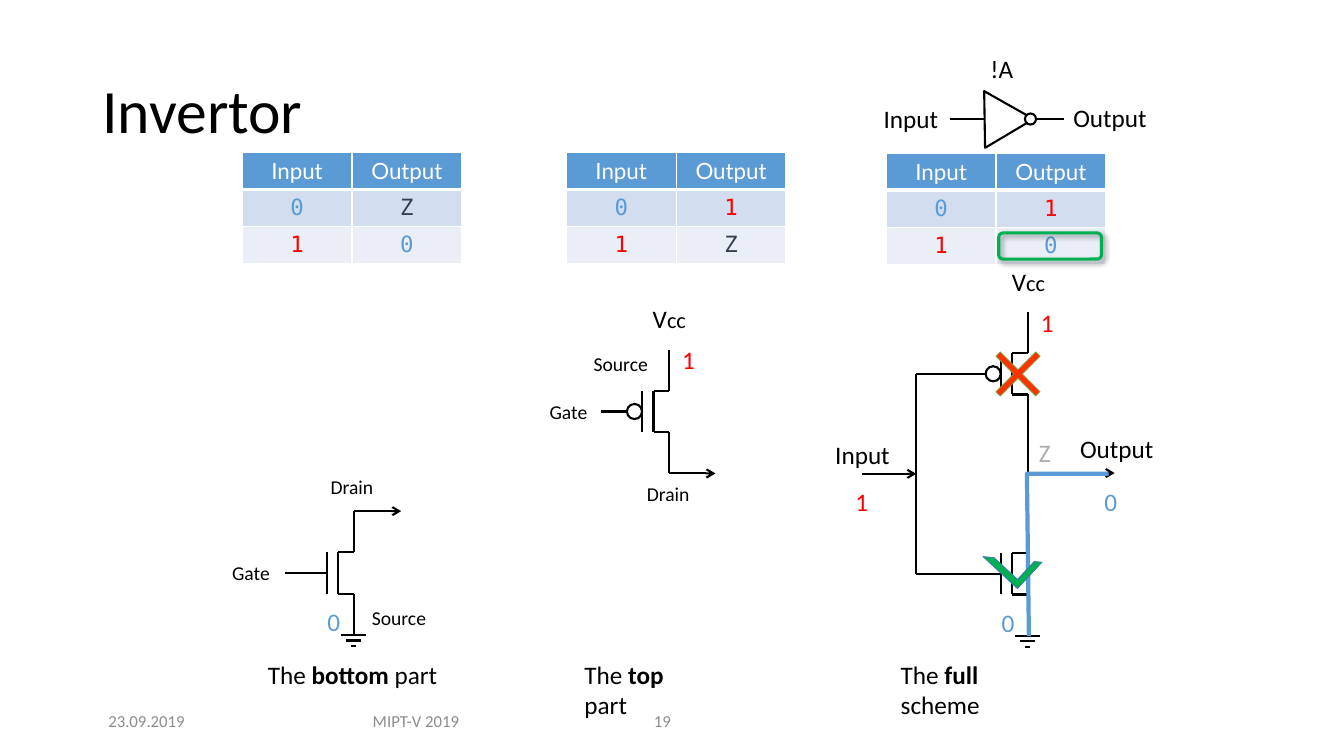
import pptx
import pptx.util
import pptx.dml.color
import pptx.enum.shapes
import pptx.enum.text
import pptx.oxml
import pptx.oxml.ns
from lxml import etree

Cm = pptx.util.Cm
Pt = pptx.util.Pt
SHAPE = pptx.enum.shapes.MSO_SHAPE
ALIGN = pptx.enum.text.PP_ALIGN
ANCHOR = pptx.enum.text.MSO_ANCHOR
qn = pptx.oxml.ns.qn

COLORS = {"black": "000000", "white": "FFFFFF", "blue": "5B9BD5", "red": "FF0000",
          "navy": "333F50", "gray": "8C8C8C", "silver": "AFABAB", "band1": "D2DEEF",
          "band2": "EAEFF7", "cross": "FF3300", "crossline": "70AD47",
          "green": "00B050", "tickline": "4472C4"}
LEVELS = {"0": "blue", "1": "red", "Z": "navy"}
LABEL_WIDTHS = {"Gate": 1.5, "Drain": 1.6, "Source": 1.96, "Input": 1.9, "Output": 2.41,
                "Vcc": 1.37, "0": 0.84, "1": 0.86, "Z": 0.81, "!A": 1.09}


def rgb(name):
    """Return the named colour."""
    return pptx.dml.color.RGBColor.from_string(COLORS[name])


def add_run(p, text, size, color="black", font="Calibri", bold=False):
    """Append a formatted run to a paragraph."""
    r = p.add_run()
    r.text = text
    r.font.size = Pt(size)
    r.font.name = font
    r.font.bold = bold
    r.font.color.rgb = rgb(color)


def add_text(shapes, x, y, w, h, runs, color="black", wrap=True, anchor=ANCHOR.TOP, align=ALIGN.LEFT):
    """Add a text box of (text, size, bold) runs."""
    sp = shapes.add_textbox(Cm(x), Cm(y), Cm(w), Cm(h))
    tf = sp.text_frame
    tf.word_wrap = wrap
    tf.vertical_anchor = anchor
    if not wrap:
        tf.auto_size = pptx.enum.text.MSO_AUTO_SIZE.SHAPE_TO_FIT_TEXT
    p = tf.paragraphs[0]
    p.alignment = align
    for text, size, bold in runs:
        add_run(p, text, size, color, bold=bold)
    return sp


def add_label(shapes, x, y, text, size=18, color="black"):
    """Add a one-line circuit label."""
    runs = [("V", 18, False), ("cc", 16, False)] if text == "Vcc" else [(text, size, False)]
    h = 1.02 if size == 18 else 0.86
    add_text(shapes, x, y, LABEL_WIDTHS[text], h, runs, color, wrap=False)


def add_wire(shapes, x1, y1, x2, y2, arrow=False):
    """Add a black wire, with an arrowhead at its end if asked."""
    c = shapes.add_connector(pptx.enum.shapes.MSO_CONNECTOR.STRAIGHT, Cm(x1), Cm(y1), Cm(x2), Cm(y2))
    c.line.color.rgb = rgb("black")
    c.line.width = Pt(1.5)
    if arrow:
        etree.SubElement(c.line._get_or_add_ln(), qn("a:tailEnd"), type="arrow")
    etree.SubElement(c._element.spPr, qn("a:effectLst"))


def add_mark(shapes, kind, x, y, w, h, fill="white", line="black", width=1.5, rotation=0, adj=()):
    """Add a preset shape without shadow."""
    sp = shapes.add_shape(kind, Cm(x), Cm(y), Cm(w), Cm(h))
    sp.shadow.inherit = False
    if fill:
        sp.fill.solid()
        sp.fill.fore_color.rgb = rgb(fill)
    else:
        sp.fill.background()
    sp.line.color.rgb = rgb(line)
    sp.line.width = Pt(width)
    sp.rotation = rotation
    for i, value in enumerate(adj):
        sp.adjustments[i] = value
    return sp


def add_transistor(shapes, x, y, inverted=False):
    """Draw a 1.72 by 3.12 transistor with its gate lead on the left."""
    bar, channel, lead = x + 1.05, x + 1.33, x + 1.72
    upper, lower = y + 1.04, y + 2.08
    for ends in ((channel, upper, channel, lower), (channel, upper, lead, upper),
                 (channel, lower, lead, lower), (lead, y, lead, upper),
                 (lead, lower, lead, y + 3.12), (bar, upper, bar, lower),
                 (bar, y + 1.56, x, y + 1.56)):
        add_wire(shapes, *ends)
    if inverted:
        add_mark(shapes, SHAPE.OVAL, x + 0.66, y + 1.37, 0.38, 0.38)


def add_ground(shapes, x, y):
    """Draw a ground sign centred on x."""
    for i, half in enumerate((0.31, 0.19, 0.06)):
        add_wire(shapes, x - half, y + 0.14 * i, x + half, y + 0.14 * i)


def truth_table(s, x, y, *rows):
    """Draw a two-column truth table."""
    tbl = s.shapes.add_table(3, 2, Cm(x), Cm(y), Cm(5.54), Cm(2.79)).table
    for row in tbl.rows:
        row.height = Cm(0.93)
    for i, values in enumerate((("Input", "Output"),) + rows):
        for j, value in enumerate(values):
            cell = tbl.cell(i, j)
            tcPr = cell._tc.get_or_add_tcPr()
            for side in "LRTB":
                thick = (i == 0 and side == "B") or (i == 1 and side == "T")
                ln = etree.SubElement(tcPr, qn("a:ln" + side), w=str(Pt(3 if thick else 1)))
                fill = etree.SubElement(ln, qn("a:solidFill"))
                etree.SubElement(fill, qn("a:srgbClr"), val=COLORS["white"])
            cell.fill.solid()
            cell.fill.fore_color.rgb = rgb(("blue", "band1", "band2")[i])
            cell.vertical_anchor = ANCHOR.MIDDLE
            p = cell.text_frame.paragraphs[0]
            p.alignment = ALIGN.CENTER
            add_run(p, value, 16, LEVELS.get(value, "white"), "DejaVu Sans Mono" if i else "Lato")


def bottom_part(s, x, y):
    """Draw the transistor that pulls to ground."""
    g = s.shapes.add_group_shape().shapes
    add_transistor(g, x + 1.59, y + 1.08)
    add_ground(g, x + 3.31, y + 4.2)
    add_wire(g, x + 3.31, y + 1.08, x + 4.51, y + 1.08, arrow=True)
    for dx, dy, text in ((0, 2.22, "Gate"), (2.48, 0.04, "Drain"), (3.52, 3.34, "Source")):
        add_label(g, x + dx, y + dy, text, 14)
    add_label(g, x + 2.4, y + 3.36, "0", color="blue")


def top_part(s, x, y):
    """Draw the transistor that pulls to the supply."""
    g = s.shapes.add_group_shape().shapes
    add_transistor(g, x + 1.54, y + 1.31, inverted=True)
    add_wire(g, x + 3.26, y + 4.43, x + 4.43, y + 4.43, arrow=True)
    for dx, dy, text in ((0, 2.46, "Gate"), (2.45, 4.51, "Drain"), (1.11, 1.24, "Source")):
        add_label(g, x + dx, y + dy, text, 14)
    add_label(g, x + 2.6, y + 0.02, "Vcc")
    add_label(g, x + 3.34, y + 1.06, "1", color="red")


def full_scheme(s, x, y):
    """Draw both transistors joined, with the active path marked."""
    g = s.shapes.add_group_shape().shapes
    add_transistor(g, x + 3.38, y + 6.4)
    add_ground(g, x + 5.1, y + 9.52)
    add_transistor(g, x + 3.38, y + 1.36, inverted=True)
    for x1, y1, x2, y2, arrow in ((3.38, 7.96, 2.29, 7.96, False), (3.38, 2.92, 2.29, 2.92, False),
                                  (2.29, 2.92, 2.29, 7.96, False), (5.1, 4.48, 5.1, 6.4, False),
                                  (0.92, 5.44, 2.29, 5.44, True), (5.1, 5.42, 7.29, 5.42, True)):
        add_wire(g, x + x1, y + y1, x + x2, y + y2, arrow)
    for dx, dy, text, color in ((0, 4.45, "Input", "black"), (6.17, 4.3, "Output", "black"),
                                (4.45, 0.08, "Vcc", "black"), (5.18, 1.12, "1", "red"),
                                (0.51, 5.62, "1", "red"), (6.78, 5.62, "0", "blue"),
                                (4.19, 8.69, "0", "blue"), (5.13, 4.4, "Z", "silver")):
        add_label(g, x + dx, y + dy, text, color=color)
    add_mark(s.shapes, SHAPE.MATH_MULTIPLY, x + 3.89, y + 1.96, 1.93, 1.93, "cross", "crossline", 0.5, adj=(0.08,))
    fb = s.shapes.build_freeform(Cm(x + 5.13), Cm(y + 9.53))
    fb.add_line_segments([(Cm(x + 5.08), Cm(y + 5.44)), (Cm(x + 7.14), Cm(y + 5.44))], close=False)
    sp = fb.convert_to_shape()
    sp.shadow.inherit = False
    sp.fill.background()
    sp.line.color.rgb = rgb("blue")
    sp.line.width = Pt(3)
    add_mark(s.shapes, SHAPE.HALF_FRAME, x + 4.12, y + 7.14, 1.19, 0.91, "green", "tickline", 0.5, 222.9, (0.19, 0.175))


def logic_gate(s, x, y):
    """Draw the inverter symbol with its labels."""
    g = s.shapes.add_group_shape().shapes
    add_mark(g, SHAPE.ISOSCELES_TRIANGLE, x + 2.41, y + 1.01, 1.42, 1.24, rotation=329.3)
    add_mark(g, SHAPE.OVAL, x + 3.83, y + 1.66, 0.28, 0.28)
    add_wire(g, x + 4.82, y + 1.8, x + 4.11, y + 1.8)
    add_wire(g, x + 2.79, y + 1.8, x + 1.93, y + 1.8)
    for dx, dy, text in ((0.02, 1.29, "Input"), (4.8, 1.26, "Output"), (2.71, 0.02, "!A")):
        add_label(g, x + dx, y + dy, text)


def result_frame(s, x, y):
    """Outline the chosen table cell with a shadowed frame."""
    sp = add_mark(s.shapes, SHAPE.ROUNDED_RECTANGLE, x, y, 2.59, 0.66, None, "green", 2.25)
    effects = sp._element.spPr.find(qn("a:effectLst"))
    shadow = etree.SubElement(effects, qn("a:outerShdw"), blurRad=str(Pt(4)), dist=str(Pt(3)), dir="2700000")
    color = etree.SubElement(shadow, qn("a:srgbClr"), val=COLORS["black"])
    etree.SubElement(color, qn("a:alpha"), val="40000")


def footer(s, y):
    """Write the date, event and slide number."""
    for x, w, text, align in ((2.33, 2.73, "23.09.2019", ALIGN.CENTER), (8.48, 4.01, "MIPT-V 2019", ALIGN.CENTER),
                              (16.23, 2, "19", ALIGN.LEFT)):
        add_text(s.shapes, x, y, w, 1.01, [(text, 12, False)], "gray", anchor=ANCHOR.MIDDLE, align=align)


def main():
    """Build and save the slide."""
    prs = pptx.Presentation()
    prs.slide_width, prs.slide_height = Cm(33.87), Cm(19.05)
    s = prs.slides.add_slide(prs.slide_layouts[6])
    title = add_text(s.shapes, 2.33, 1.01, 29.21, 3.68, [("Invertor", 44, False)], anchor=ANCHOR.MIDDLE)
    title.text_frame.paragraphs[0].line_spacing = 0.9
    truth_table(s, 6.1, 3.84, ("0", "Z"), ("1", "0"))
    truth_table(s, 14.27, 3.84, ("0", "1"), ("1", "Z"))
    truth_table(s, 22.33, 3.86, ("0", "1"), ("1", "0"))
    bottom_part(s, 5.6, 11.8)
    top_part(s, 13.6, 7.5)
    full_scheme(s, 20.8, 6.5)
    for x, w, name, noun in ((6.5, 4.85, "bottom ", "part"), (14.48, 3.68, "top ", "part"), (22.45, 4.5, "full ", "scheme")):
        add_text(s.shapes, x, 16.48, w, 1.02, [("The ", 18, False), (name, 18, True), (noun, 18, False)])
    result_frame(s, 25.17, 5.87)
    logic_gate(s, 22, 1.2)
    footer(s, 17.65)
    prs.save("out.pptx")


if __name__ == "__main__":
    main()
